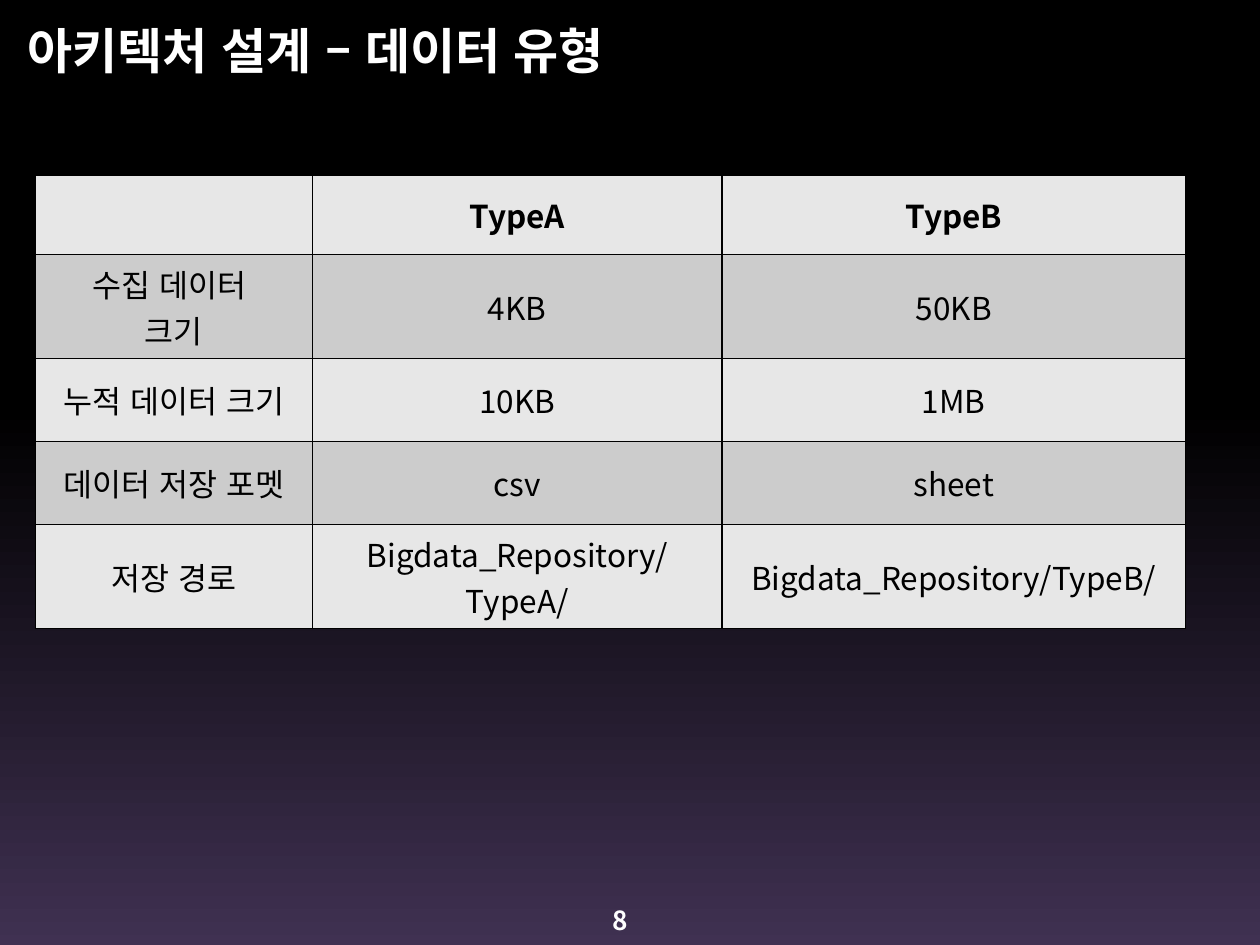
"""Build the data type slide: a title, a comparison table and a page number."""
from dataclasses import dataclass

from lxml import etree
from pptx import Presentation
from pptx.dml import color
from pptx.enum import lang, shapes, text
from pptx.oxml import ns
from pptx.util import Inches, Pt

FONT = "Noto Sans CJK KR"
WHITE, BLACK, PURPLE = "FFFFFF", "000000", "403152"
BANDS = ("E7E7E7", "CCCCCC")


@dataclass(frozen=True)
class Row:
    """One table row: its height in inches and the text of its cells."""

    height: float
    cells: tuple[str, ...]


COLUMN_WIDTHS = (2.2, 3.25, 3.68)
ROWS = (
    Row(0.63, ("", "TypeA", "TypeB")),
    Row(0.66, ("수집 데이터 \n크기", "4KB", "50KB")),
    Row(0.66, ("누적 데이터 크기", "10KB", "1MB")),
    Row(0.66, ("데이터 저장 포멧", "csv", "sheet")),
    Row(0.66, ("저장 경로", "Bigdata_Repository/TypeA/", "Bigdata_Repository/TypeB/")),
)


def paint(target, value: str) -> None:
    """Set a colour format from a hex string."""
    target.rgb = color.RGBColor.from_string(value)


def write(frame, content: str, *, size: float, ink: str, bold: bool = False,
          align=text.PP_ALIGN.LEFT) -> None:
    """Fill a text frame, one paragraph for each line."""
    frame.text = content
    for para in frame.paragraphs:
        para.alignment = align
        for span in para.runs:
            span.font.name = FONT
            span.font.size = Pt(size)
            span.font.bold = bold
            span.font.language_id = lang.MSO_LANGUAGE_ID.KOREAN
            paint(span.font.color, ink)
            properties = span.font._element
            east_asian = etree.SubElement(properties, ns.qn("a:ea"))
            east_asian.set("typeface", FONT)


def place(box, left: float, top: float, width: float, height: float) -> None:
    """Move and size a shape, in inches."""
    box.left, box.top = Inches(left), Inches(top)
    box.width, box.height = Inches(width), Inches(height)


def outline_cell(cell) -> None:
    """Draw a thin black border on all four sides of a cell."""
    properties = cell._tc.get_or_add_tcPr()
    for side in ("a:lnL", "a:lnR", "a:lnT", "a:lnB"):
        border = etree.SubElement(properties, ns.qn(side), w=str(Pt(1)))
        fill = etree.SubElement(border, ns.qn("a:solidFill"))
        etree.SubElement(fill, ns.qn("a:srgbClr"), val=BLACK)


def add_backdrop(page) -> None:
    """Put a gradient rectangle behind everything else."""
    box = page.shapes.add_shape(
        shapes.MSO_SHAPE.RECTANGLE,
        Inches(-0.09), Inches(-0.02), Inches(10.13), Inches(7.55))
    box.shadow.inherit = False
    box.fill.gradient()
    box.fill.gradient_angle = 90
    for stop, position, value in zip(box.fill.gradient_stops, (0, 0.57), (PURPLE, BLACK)):
        stop.position = position
        paint(stop.color, value)
    paint(box.line.color, WHITE)
    box.line.width = Pt(2)
    page.shapes.title._element.addprevious(box._element)


def add_type_table(page) -> None:
    """Add the comparison table with alternating row colours."""
    table = page.shapes.add_table(
        len(ROWS), len(COLUMN_WIDTHS), Inches(0.28), Inches(1.39),
        Inches(sum(COLUMN_WIDTHS)), Inches(sum(row.height for row in ROWS))).table
    for column, width in zip(table.columns, COLUMN_WIDTHS):
        column.width = Inches(width)
    for index, row in enumerate(ROWS):
        table.rows[index].height = Inches(row.height)
        for cell, content in zip(table.rows[index].cells, row.cells):
            outline_cell(cell)
            cell.fill.solid()
            paint(cell.fill.fore_color, BANDS[index % 2])
            cell.vertical_anchor = text.MSO_ANCHOR.MIDDLE
            write(cell.text_frame, content, size=18, ink=BLACK, bold=index == 0,
                  align=text.PP_ALIGN.CENTER)


def main() -> None:
    """Build and save the deck."""
    deck = Presentation()
    deck.slide_width, deck.slide_height = Inches(10), Inches(7.5)
    page = deck.slides.add_slide(deck.slide_layouts[5])
    add_backdrop(page)

    title = page.shapes.title
    place(title, 0.12, 0.08, 9.69, 0.63)
    title.text_frame.vertical_anchor = text.MSO_ANCHOR.MIDDLE
    write(title.text_frame, "아키텍처 설계 – 데이터 유형", size=28, ink=WHITE, bold=True)

    add_type_table(page)

    number = page.shapes.add_textbox(
        Inches(4.76), Inches(7.13), Inches(0.67), Inches(0.4))
    number.text_frame.word_wrap = True
    write(number.text_frame, "8", size=15, ink=WHITE, bold=True)
    deck.save("out.pptx")


if __name__ == "__main__":
    main()
